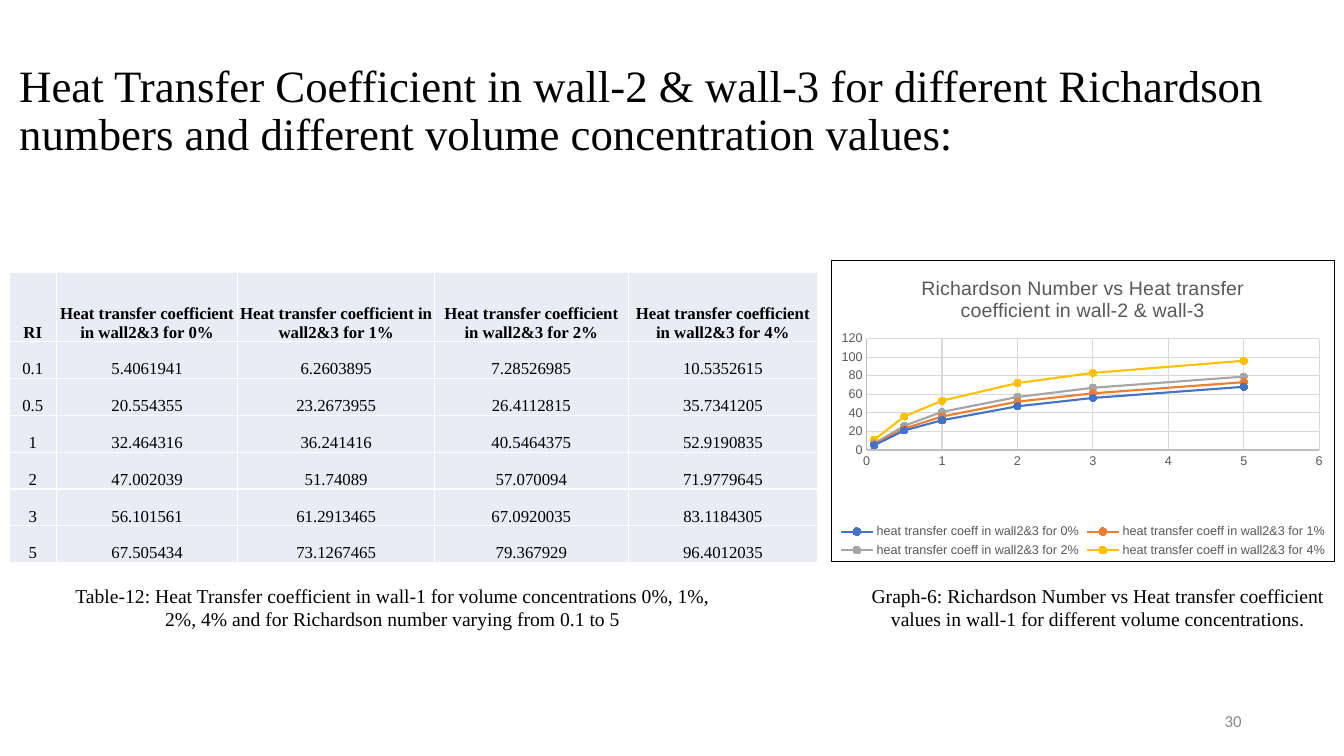
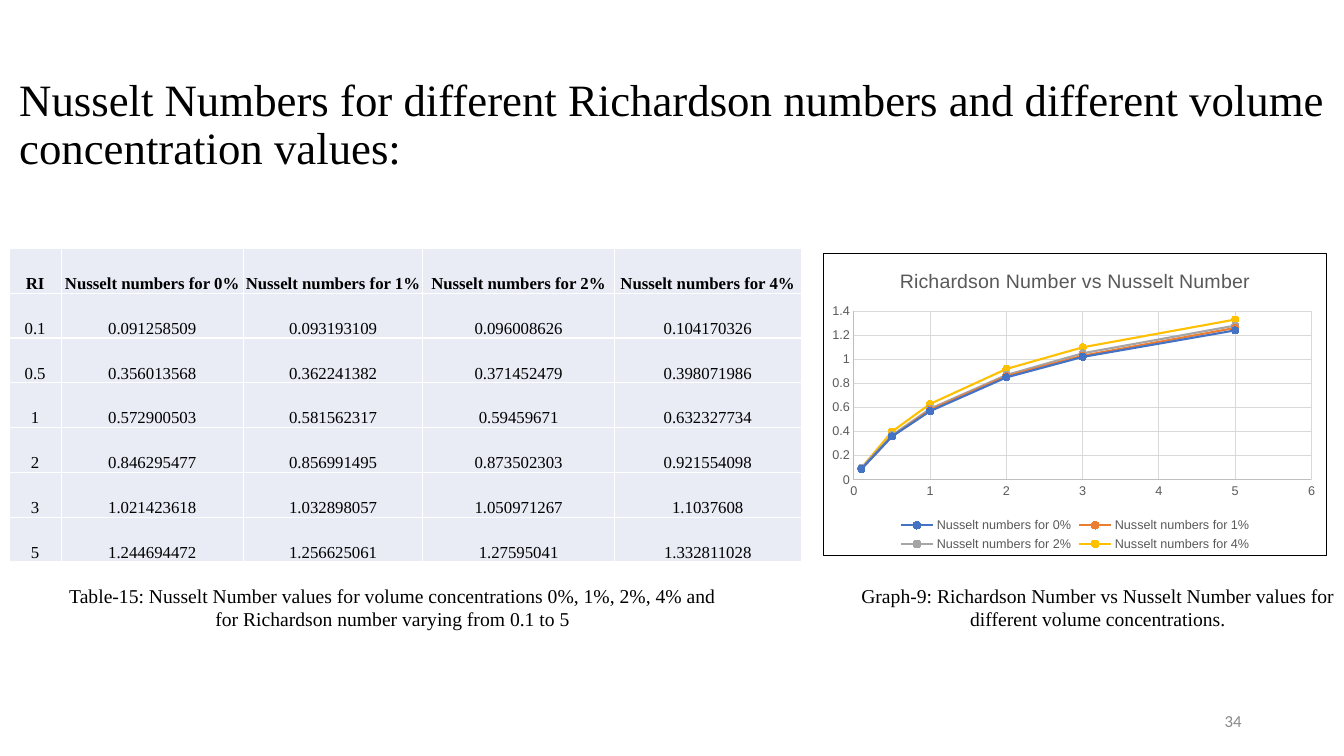
"""Build two result slides, each with a table, a scatter chart and captions."""
import pptx
import pptx.chart.data
import pptx.dml.color
import pptx.enum.chart
import pptx.enum.text
import pptx.oxml
import pptx.oxml.ns
import pptx.util

Pt = pptx.util.Pt
ALIGN = pptx.enum.text.PP_ALIGN
ANCHOR = pptx.enum.text.MSO_ANCHOR
FIT = pptx.enum.text.MSO_AUTO_SIZE

COLORS = {
    "text": "000000", "muted": "595959", "number": "888888", "cell": "E9EBF5",
    "axis": "BFBFBF", "grid": "D9D9D9", "border": "000000", "paper": "FFFFFF",
    "0%": "4472C4", "1%": "ED7D31", "2%": "A5A5A5", "4%": "FFC000",
}
CONCENTRATIONS = ["0%", "1%", "2%", "4%"]
RICHARDSON = ["0.1", "0.5", "1", "2", "3", "5"]
SERIF, SANS, FOOTER = "Times New Roman", "Arial", "Calibri"

SLIDES = [
    {
        "title": "Heat Transfer Coefficient in wall-2 & wall-3 for different Richardson "
                 "numbers and different volume concentration values:",
        "title_top": 40.5,
        "number": "30",
        "header": "Heat transfer coefficient in wall2&3 for ",
        "values": [
            ["5.4061941", "6.2603895", "7.28526985", "10.5352615"],
            ["20.554355", "23.2673955", "26.4112815", "35.7341205"],
            ["32.464316", "36.241416", "40.5464375", "52.9190835"],
            ["47.002039", "51.74089", "57.070094", "71.9779645"],
            ["56.101561", "61.2913465", "67.0920035", "83.1184305"],
            ["67.505434", "73.1267465", "79.367929", "96.4012035"],
        ],
        "table_top": 194.5,
        "widths": [33.8, 129.6, 140.6, 138.2, 135.4],
        "heights": [49.7] + [26.3] * 6,
        "table_caption": "Table-12: Heat Transfer coefficient in wall-1 for volume concentrations "
                         "0%, 1%, 2%, 4% and for Richardson number varying from 0.1 to 5",
        "graph_caption": "Graph-6: Richardson Number vs Heat transfer coefficient values in "
                         "wall-1 for different volume concentrations.",
        "chart_title": "Richardson Number vs Heat transfer coefficient in wall-2 & wall-3",
        "series": "heat transfer coeff in wall2&3 for ",
        "digits": 0,
        "chart_at": (593.5, 185.5),
        "plot": {"x": 0.07, "y": 0.26, "w": 0.9, "h": 0.37},
        "scale": (120, 20),
    },
    {
        "title": "Nusselt Numbers for different Richardson numbers and different volume "
                 "concentration values:",
        "title_top": 50.5,
        "number": "34",
        "header": "Nusselt numbers for ",
        "values": [
            ["0.091258509", "0.093193109", "0.096008626", "0.104170326"],
            ["0.356013568", "0.362241382", "0.371452479", "0.398071986"],
            ["0.572900503", "0.581562317", "0.59459671", "0.632327734"],
            ["0.846295477", "0.856991495", "0.873502303", "0.921554098"],
            ["1.021423618", "1.032898057", "1.050971267", "1.1037608"],
            ["1.244694472", "1.256625061", "1.27595041", "1.332811028"],
        ],
        "table_top": 177.5,
        "widths": [37.2, 130.2, 128.2, 136.8, 133.4],
        "heights": [32] * 7,
        "table_caption": "Table-15: Nusselt Number values for volume concentrations "
                         "0%, 1%, 2%, 4% and for Richardson number varying from 0.1 to 5",
        "graph_caption": "Graph-9: Richardson Number vs Nusselt Number values for different "
                         "volume concentrations.",
        "chart_title": "Richardson Number vs Nusselt Number",
        "series": "Nusselt numbers for ",
        "digits": 2,
        "chart_at": (588, 181),
        "plot": {"x": 0.06, "y": 0.19, "w": 0.91, "h": 0.56},
        "scale": (1.4, 0.2),
    },
]


def rgb(name):
    """Return the named colour."""
    return pptx.dml.color.RGBColor.from_string(COLORS[name])


def style_font(font, size, name, color, bold=False):
    """Set size, face, colour and weight of a font."""
    font.size, font.name, font.bold = Pt(size), name, bold
    font.color.rgb = rgb(color)


def set_text(tf, text, size, name=SERIF, color="text", align=ALIGN.CENTER, bold=False):
    """Fill a text frame with one formatted paragraph."""
    tf.text = text
    tf.word_wrap = True
    p = tf.paragraphs[0]
    p.alignment = align
    style_font(p.runs[0].font, size, name, color, bold)
    return p


def add_title(s, text, top):
    """Place and format the slide title."""
    sp = s.shapes.title
    sp.left, sp.top, sp.width, sp.height = Pt(6.5), Pt(top), Pt(972), Pt(79)
    tf = sp.text_frame
    p = set_text(tf, text, 32, align=ALIGN.LEFT)
    p.line_spacing = 0.9
    tf.vertical_anchor = ANCHOR.MIDDLE
    tf.auto_size = FIT.NONE


def add_number(s, number):
    """Add the slide number at the lower right."""
    sp = s.shapes.add_textbox(Pt(678), Pt(500.5), Pt(216), Pt(29))
    set_text(sp.text_frame, number, 12, FOOTER, "number", ALIGN.RIGHT)
    sp.text_frame.vertical_anchor = ANCHOR.MIDDLE


def add_caption(s, text, left, width):
    """Add a centred caption under a table or chart."""
    sp = s.shapes.add_textbox(Pt(left), Pt(413.5), Pt(width), Pt(41))
    set_text(sp.text_frame, text, 14)
    sp.text_frame.auto_size = FIT.SHAPE_TO_FIT_TEXT


def add_values_table(s, data):
    """Add the table of values by Richardson number and concentration."""
    rows = [["RI"] + [data["header"] + c for c in CONCENTRATIONS]]
    rows += [[ri] + values for ri, values in zip(RICHARDSON, data["values"])]
    widths, heights = data["widths"], data["heights"]
    table = s.shapes.add_table(len(rows), len(widths), Pt(6.5), Pt(data["table_top"]),
                               Pt(sum(widths)), Pt(sum(heights))).table
    table.first_row = table.horz_banding = False
    for column, width in zip(table.columns, widths):
        column.width = Pt(width)
    for i, (row, height) in enumerate(zip(table.rows, heights)):
        row.height = Pt(height)
        for cell, text in zip(row.cells, rows[i]):
            cell.fill.solid()
            cell.fill.fore_color.rgb = rgb("cell")
            cell.margin_left = cell.margin_right = cell.margin_top = Pt(0.7)
            cell.margin_bottom = 0
            cell.vertical_anchor = ANCHOR.BOTTOM
            set_text(cell.text_frame, text, 12, bold=i == 0)


def style_axis(axis, maximum, unit):
    """Set the scale, gridlines and labels of an axis."""
    axis.minimum_scale, axis.maximum_scale, axis.major_unit = 0, maximum, unit
    axis.major_tick_mark = axis.minor_tick_mark = pptx.enum.chart.XL_TICK_MARK.NONE
    axis.has_major_gridlines = True
    for line, color in ((axis.format.line, "axis"), (axis.major_gridlines.format.line, "grid")):
        line.color.rgb = rgb(color)
        line.width = Pt(0.75)
    style_font(axis.tick_labels.font, 9, SANS, "muted")


def style_series(series, color):
    """Draw a series as a smooth line with round markers."""
    series.smooth = True
    series.format.line.color.rgb = rgb(color)
    series.format.line.width = Pt(1.5)
    marker = series.marker
    marker.style = pptx.enum.chart.XL_MARKER_STYLE.CIRCLE
    marker.size = 5
    marker.format.fill.solid()
    marker.format.fill.fore_color.rgb = rgb(color)
    marker.format.line.color.rgb = rgb(color)


def frame_chart(chart, plot):
    """Give the chart area a border and fix the inner plot area."""
    qn, nsdecls = pptx.oxml.ns.qn, pptx.oxml.ns.nsdecls
    chart_el = chart.element.find(qn("c:chart"))
    chart_el.addnext(pptx.oxml.parse_xml(
        f'<c:spPr {nsdecls("c", "a")}>'
        f'<a:solidFill><a:srgbClr val="{COLORS["paper"]}"/></a:solidFill>'
        f'<a:ln w="{Pt(0.75)}"><a:solidFill><a:srgbClr val="{COLORS["border"]}"/>'
        '</a:solidFill></a:ln></c:spPr>'))
    area = chart_el.find(qn("c:plotArea"))
    for layout in area.findall(qn("c:layout")):
        area.remove(layout)
    modes = '<c:xMode val="edge"/><c:yMode val="edge"/>'
    sizes = "".join(f'<c:{key} val="{value}"/>' for key, value in plot.items())
    area.insert(0, pptx.oxml.parse_xml(
        f'<c:layout {nsdecls("c")}><c:manualLayout><c:layoutTarget val="inner"/>'
        f'{modes}{sizes}</c:manualLayout></c:layout>'))


def add_scatter(s, data):
    """Add the smooth scatter chart of the table values."""
    chart_data = pptx.chart.data.XyChartData()
    for concentration, column in zip(CONCENTRATIONS, zip(*data["values"])):
        series = chart_data.add_series(data["series"] + concentration)
        for x, y in zip(RICHARDSON, column):
            series.add_data_point(float(x), round(float(y), data["digits"]))
    left, top = data["chart_at"]
    chart = s.shapes.add_chart(pptx.enum.chart.XL_CHART_TYPE.XY_SCATTER_SMOOTH,
                               Pt(left), Pt(top), Pt(360), Pt(216), chart_data).chart
    style_font(chart.font, 10, SANS, "text")
    chart.plots[0].vary_by_categories = False
    chart.has_title = True
    set_text(chart.chart_title.text_frame, data["chart_title"], 14, SANS, "muted")
    chart.chart_title.include_in_layout = False
    chart.has_legend = True
    chart.legend.position = pptx.enum.chart.XL_LEGEND_POSITION.BOTTOM
    chart.legend.include_in_layout = False
    style_font(chart.legend.font, 9, SANS, "muted")
    style_axis(chart.category_axis, 6, 1)
    style_axis(chart.value_axis, *data["scale"])
    for series, concentration in zip(chart.plots[0].series, CONCENTRATIONS):
        style_series(series, concentration)
    frame_chart(chart, data["plot"])


def main():
    """Build and save the presentation."""
    prs = pptx.Presentation()
    prs.slide_width, prs.slide_height = Pt(960), Pt(540)
    for data in SLIDES:
        s = prs.slides.add_slide(prs.slide_layouts[5])
        add_title(s, data["title"], data["title_top"])
        add_number(s, data["number"])
        add_values_table(s, data)
        add_scatter(s, data)
        add_caption(s, data["table_caption"], 40.5, 480)
        add_caption(s, data["graph_caption"], 600, 368.5)
    prs.save("out.pptx")


if __name__ == "__main__":
    main()
